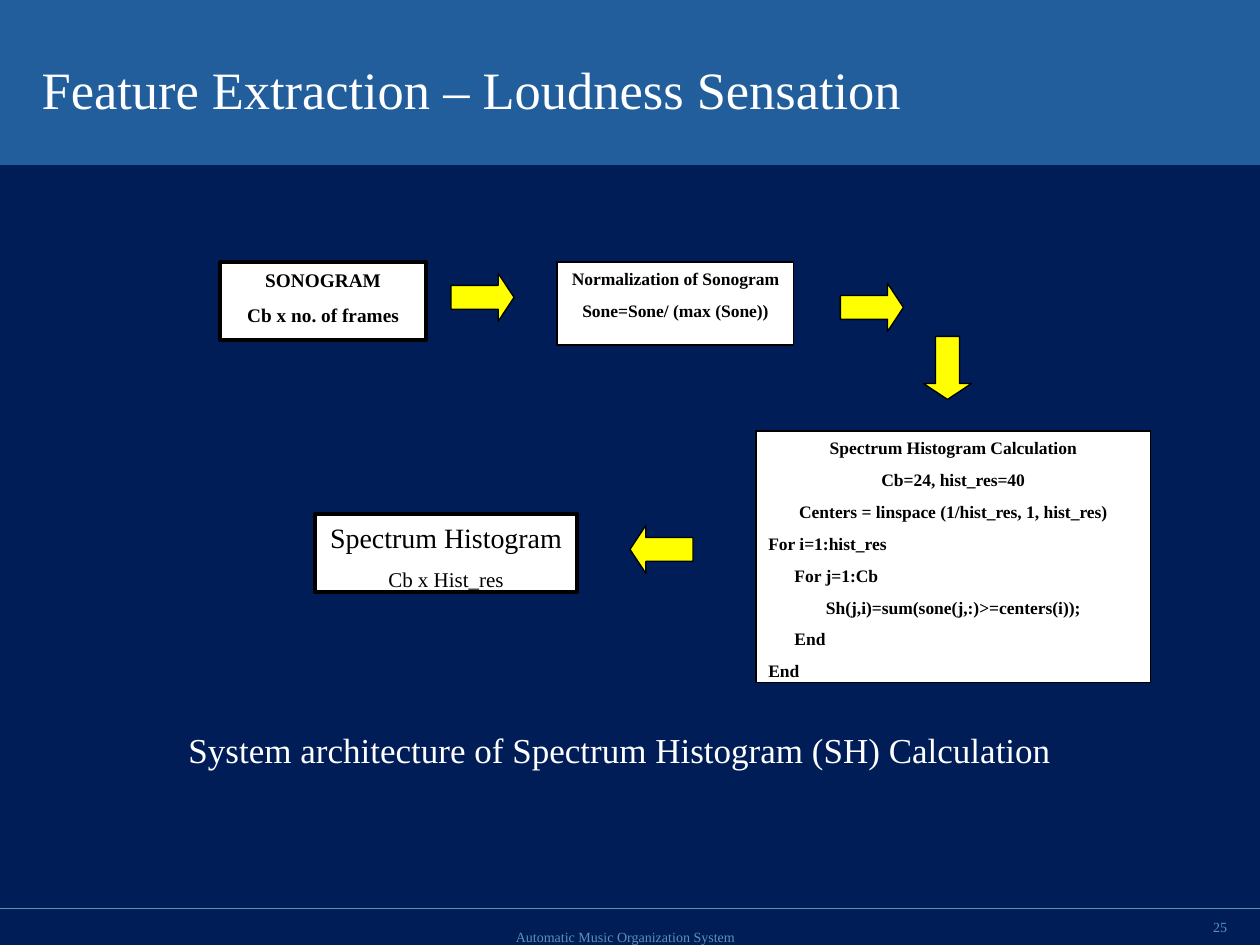
from pptx import Presentation
from pptx.dml.color import RGBColor
from pptx.enum.shapes import MSO_CONNECTOR, MSO_SHAPE
from pptx.enum.text import MSO_ANCHOR, PP_ALIGN
from pptx.oxml.ns import qn
from pptx.util import Inches, Pt
from lxml.etree import SubElement

COLORS = {"background": "001D58", "band": "215E9B", "muted": "5A93B6",
          "white": "FFFFFF", "black": "000000", "arrow": "FFFF00"}
FONT = "Times New Roman"
LEFT, CENTER, RIGHT = PP_ALIGN.LEFT, PP_ALIGN.CENTER, PP_ALIGN.RIGHT

TITLE = "Feature Extraction – Loudness Sensation"
CAPTION = "System architecture of Spectrum Histogram (SH) Calculation"
FOOTER = "Automatic Music Organization System"
PAGE = "25"

# Each line of a box: text, size, alignment
BOXES = [
    {"at": (1.75, 2.08, 1.63, 0.62), "border": 2.25, "bold": True, "gap": 6.9,
     "lines": [("SONOGRAM", 11, CENTER), ("Cb x no. of frames", 11, CENTER)]},
    {"at": (4.42, 2.08, 1.88, 0.66), "border": 0.75, "bold": True, "gap": 6.2,
     "lines": [("Normalization of Sonogram", 10, CENTER),
               ("Sone=Sone/ (max (Sone))", 10, CENTER)]},
    {"at": (6, 3.42, 3.13, 2), "border": 0.75, "bold": True, "gap": 6.2,
     "lines": [("Spectrum Histogram Calculation", 10, CENTER),
               ("Cb=24, hist_res=40", 10, CENTER),
               ("Centers = linspace (1/hist_res, 1, hist_res)", 10, CENTER),
               ("For i=1:hist_res", 10, LEFT),
               ("      For j=1:Cb", 10, LEFT),
               ("Sh(j,i)=sum(sone(j,:)>=centers(i));", 10, CENTER),
               ("      End", 10, LEFT),
               ("End", 10, LEFT)]},
    {"at": (2.5, 4.08, 2.08, 0.62), "border": 2.25, "bold": False, "gap": 7.5,
     "lines": [("Spectrum Histogram", 16, CENTER), ("Cb x Hist_res", 12, CENTER)]},
]
ARROW_SIZE = (0.5, 0.38)
ARROWS = [(3.58, 2.17, 0), (6.67, 2.25, 0), (7.27, 2.73, 90), (5, 4.17, 180)]  # left, top, rotation


def rgb(name):
    return RGBColor.from_string(COLORS[name])


def write(tf, lines, color, bold=False, gap=0, anchor=MSO_ANCHOR.TOP, insets=(0, 0, 0, 0)):
    """Fill a text frame with (text, size, alignment) lines."""
    tf.word_wrap = True
    tf.vertical_anchor = anchor
    tf.margin_left, tf.margin_top, tf.margin_right, tf.margin_bottom = map(Inches, insets)
    for i, (text, size, align) in enumerate(lines):
        p = tf.add_paragraph() if i else tf.paragraphs[0]
        p.text = text
        p.alignment = align
        p.space_before = Pt(gap if i else 0)
        font = p.runs[0].font
        font.name, font.size, font.bold = FONT, Pt(size), bold
        font.color.rgb = rgb(color)


def add_shape(slide, kind, at, fill, border=None):
    sp = slide.shapes.add_shape(kind, *map(Inches, at))
    sp.shadow.inherit = False
    sp.fill.solid()
    sp.fill.fore_color.rgb = rgb(fill)
    if border:
        sp.line.color.rgb = rgb("black")
        sp.line.width = Pt(border)
    else:
        sp.line.fill.background()
    return sp


def add_text(slide, at, line, color, **options):
    tf = slide.shapes.add_textbox(*map(Inches, at)).text_frame
    write(tf, [line], color, **options)
    return tf


def add_frame(slide):
    """Draw the background, title band, title and footer."""
    slide.background.fill.solid()
    slide.background.fill.fore_color.rgb = rgb("background")
    add_shape(slide, MSO_SHAPE.RECTANGLE, (0, 0, 10, 1.31), "band")

    rule = slide.shapes.add_connector(
        MSO_CONNECTOR.STRAIGHT, 0, Inches(7.21), Inches(10), Inches(7.21))
    rule.line.color.rgb = rgb("muted")
    rule.line.width = Pt(0.75)
    SubElement(rule._element.spPr, qn("a:effectLst"))

    title = slide.shapes.title
    title.left, title.top, title.width, title.height = map(Inches, (0.33, 0.25, 8.02, 0.9))
    write(title.text_frame, [(TITLE, 30, LEFT)], "white", anchor=MSO_ANCHOR.MIDDLE)
    slide.shapes._spTree.append(title._element)  # in front of the band

    add_text(slide, (1.67, 7.36, 6.59, 0.15), (FOOTER, 8, CENTER), "muted",
             anchor=MSO_ANCHOR.MIDDLE)
    add_text(slide, (9.3, 7.28, 0.44, 0.15), (PAGE, 8, RIGHT), "muted",
             anchor=MSO_ANCHOR.MIDDLE)


def main():
    prs = Presentation()
    prs.slide_width, prs.slide_height = Inches(10), Inches(7.5)
    slide = prs.slides.add_slide(prs.slide_layouts[5])
    add_frame(slide)

    caption = add_text(slide, (0.33, 5.67, 9.18, 1.51), (CAPTION, 20, CENTER), "white",
                       insets=(0, 0.15, 0, 0))
    caption.paragraphs[0].line_spacing = 0.9

    for box in BOXES:
        sp = add_shape(slide, MSO_SHAPE.RECTANGLE, box["at"], "white", box["border"])
        write(sp.text_frame, box["lines"], "black", box["bold"], box["gap"],
              insets=(0.1, 0.05, 0.1, 0.05))

    for left, top, rotation in ARROWS:
        arrow = add_shape(slide, MSO_SHAPE.RIGHT_ARROW, (left, top, *ARROW_SIZE), "arrow", 0.75)
        arrow.adjustments[1] = 0.33
        arrow.rotation = rotation

    prs.save("out.pptx")


if __name__ == "__main__":
    main()
